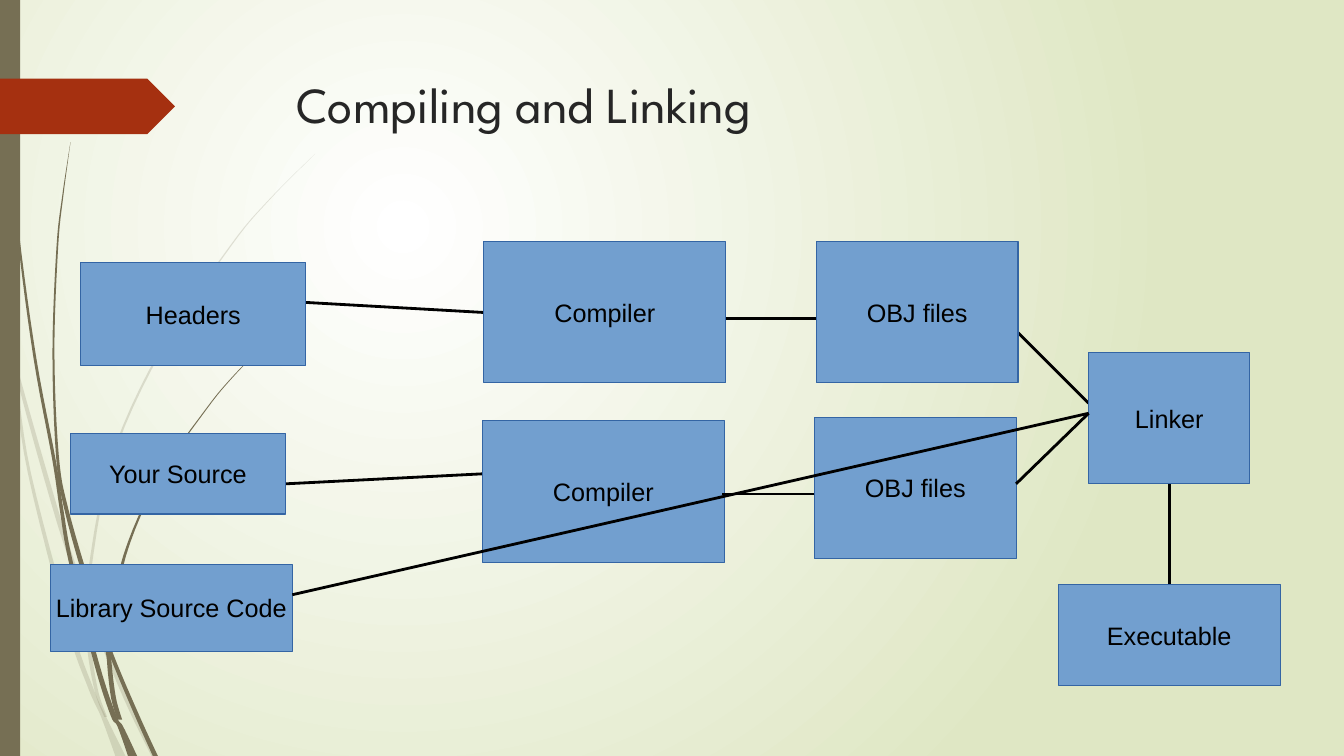
from lxml import etree
from pptx import Presentation
from pptx.dml.color import RGBColor
from pptx.enum.shapes import MSO_CONNECTOR, MSO_SHAPE
from pptx.enum.text import MSO_ANCHOR, PP_ALIGN
from pptx.oxml.ns import qn
from pptx.util import Pt

RECT, ARROW = MSO_SHAPE.RECTANGLE, MSO_SHAPE.PENTAGON
LINE = MSO_CONNECTOR.STRAIGHT
TOP, MIDDLE = MSO_ANCHOR.TOP, MSO_ANCHOR.MIDDLE
LEFT, CENTER = PP_ALIGN.LEFT, PP_ALIGN.CENTER

THEME = dict(
    glow="FFFFFF", edge="DFE7C4", stem="766F54", tab="A53010",
    box="729FCF", rim="3465A4", ink="000000", head="262626",
    title=("League Spartan", 36), label=("Arial", 18), faint=20,
)
WIDE, HIGH = 960, 540

TITLE = ("Compiling and Linking", (204.5, 49, 702, 100.8))
BAR = (0, 0, 14.4, HIGH)
TAB = (0, 56.2, 125, 39.6)

BOXES = [
    ("Headers", (57.6, 187.2, 160.8, 74.2)),
    ("Your Source", (50.4, 309.6, 153.4, 57.6)),
    ("Library Source Code", (36, 403.2, 172.8, 61.9)),
    ("Compiler", (344.6, 300.7, 172.8, 100.8)),
    ("OBJ files", (583.2, 172.8, 144, 100.8)),
    ("Linker", (777.6, 252, 115.2, 93.6)),
    ("Executable", (756, 417.6, 158.4, 72)),
    ("Compiler", (345.6, 172.8, 172.8, 100.8)),
    ("OBJ files", (581.8, 298.1, 144, 100.8)),
]
UNDER = [
    (218.2, 216, 345.6, 223.2),
    (203.8, 345.6, 345.6, 338.4),
    (589, 227.5, 517, 227.5),
    (777.6, 288, 727.2, 237.6),
    (835.2, 345.6, 835.2, 417.6),
]
OVER = [
    (581.8, 352.8, 515.5, 352.8),
    (725.8, 345.6, 777.6, 295.2),
    (208.8, 424.8, 777.6, 295.2),
]

PALE = [
    [(1, 209, 2), (8, 252, 1), (11, 271, 2), (21, 338, 2.2), (49, 446, 3.6),
     (65, 492, 3.6), (74, 512, 3.6), (86, 540, 7.2)],
    [(10, 248, 0.5), (13.5, 271, 2.5), (43, 375, 3.6), (62, 430, 3),
     (65, 439, 3), (90, 499, 3.2), (110, 540, 3.6)],
    [(225, 110, 0.1), (193, 142, 0.6), (164.5, 176, 1), (114.5, 251, 1.6),
     (78.5, 332, 1.6), (62.3, 420, 2.2), (62, 435, 2.5), (64, 465, 2.9),
     (69, 494, 2.5), (75.5, 512, 2)],
]
DARK = [
    [(2.5, 0, 0.7), (5.3, 79, 0.7), (13, 167, 1.4), (25, 256, 2),
     (38.5, 328, 2.4), (44, 364, 2.6), (50.5, 401, 2.9), (69, 474, 3.6),
     (81, 511, 4), (86, 519, 4), (94.7, 540, 6.5)],
    [(50.4, 101.5, 0.1), (45, 139, 0.8), (41, 176, 1.2), (38.2, 251, 1.4),
     (41, 325, 2), (47.5, 364, 2.9), (65, 425, 3.6), (79, 466, 3),
     (97, 509, 3.2), (111, 540, 3.6)],
    [(187, 248, 0.2), (166.5, 269, 0.7), (147.5, 292, 0.8), (113, 342, 1.3),
     (89, 397, 2), (78, 455, 3.2), (78, 472, 3.2), (81, 498, 3.5),
     (85.5, 514, 3.5)],
]

deck = Presentation()
deck.slide_width, deck.slide_height = Pt(WIDE), Pt(HIGH)
slide = deck.slides.add_slide(deck.slide_layouts[6])
shapes = slide.shapes


def tint(key):
    return RGBColor.from_string(THEME[key])


def paint(shape, fill, rim=None):
    shape.shadow.inherit = False
    shape.fill.solid()
    shape.fill.fore_color.rgb = tint(fill)
    if rim:
        shape.line.color.rgb = tint(rim)
        shape.line.width = Pt(0)
    else:
        shape.line.fill.background()
    return shape


def block(kind, rect, fill, rim=None):
    return paint(shapes.add_shape(kind, *map(Pt, rect)), fill, rim)


def write(shape, text, style, color, align, anchor, wrap):
    frame = shape.text_frame
    frame.word_wrap = wrap
    frame.vertical_anchor = anchor
    para = frame.paragraphs[0]
    para.alignment = align
    run = para.add_run()
    run.text = text
    face, size = THEME[style]
    run.font.name, run.font.size = face, Pt(size)
    run.font.color.rgb = tint(color)


def smooth(nodes, steps=6):
    ends = [nodes[0], *nodes, nodes[-1]]
    out = []
    for a, b, c, d in zip(ends, ends[1:], ends[2:], ends[3:]):
        for i in range(steps):
            t = i / steps
            out.append([
                q + t * ((r - p) + t * ((2 * p - 5 * q + 4 * r - s)
                                        + t * (3 * q - p - 3 * r + s))) / 2
                for p, q, r, s in zip(a, b, c, d)])
    return out + [nodes[-1]]


def wisp(nodes, alpha=None):
    curve = smooth(nodes)
    rim = [(Pt(x - w / 2), Pt(y)) for x, y, w in curve]
    rim += [(Pt(x + w / 2), Pt(y)) for x, y, w in reversed(curve)]
    path = shapes.build_freeform(*rim[0])
    path.add_line_segments(rim[1:], close=True)
    shape = paint(path.convert_to_shape(), "stem")
    if alpha:
        color = next(shape.element.spPr.iter(qn("a:srgbClr")))
        etree.SubElement(color, qn("a:alpha"), val=str(alpha * 1000))


def link(ends):
    line = shapes.add_connector(LINE, *map(Pt, ends))
    line.line.color.rgb = tint("ink")
    line.line.width = Pt(0)
    etree.SubElement(line.element.spPr, qn("a:effectLst"))


def backdrop():
    fill = slide.background.fill
    fill.gradient()
    for stop, key, place in zip(fill.gradient_stops, ("glow", "edge"), (0, 1)):
        stop.color.rgb = tint(key)
        stop.position = place
    grad = next(slide.element.iter(qn("a:gradFill")))
    grad.remove(grad.find(qn("a:lin")))
    ring = etree.Element(qn("a:path"), path="circle")
    etree.SubElement(ring, qn("a:fillToRect"),
                     l="30000", t="30000", r="70000", b="70000")
    grad.find(qn("a:gsLst")).addnext(ring)


backdrop()
for nodes in PALE:
    wisp(nodes, THEME["faint"])
for nodes in DARK:
    wisp(nodes)
block(RECT, BAR, "stem")
block(ARROW, TAB, "tab")

text, rect = TITLE
write(shapes.add_textbox(*map(Pt, rect)), text, "title", "head", LEFT, TOP, True)

for ends in UNDER:
    link(ends)
for text, rect in BOXES:
    write(block(RECT, rect, "box", "rim"), text, "label", "ink",
          CENTER, MIDDLE, False)
for ends in OVER:
    link(ends)

deck.save("out.pptx")
